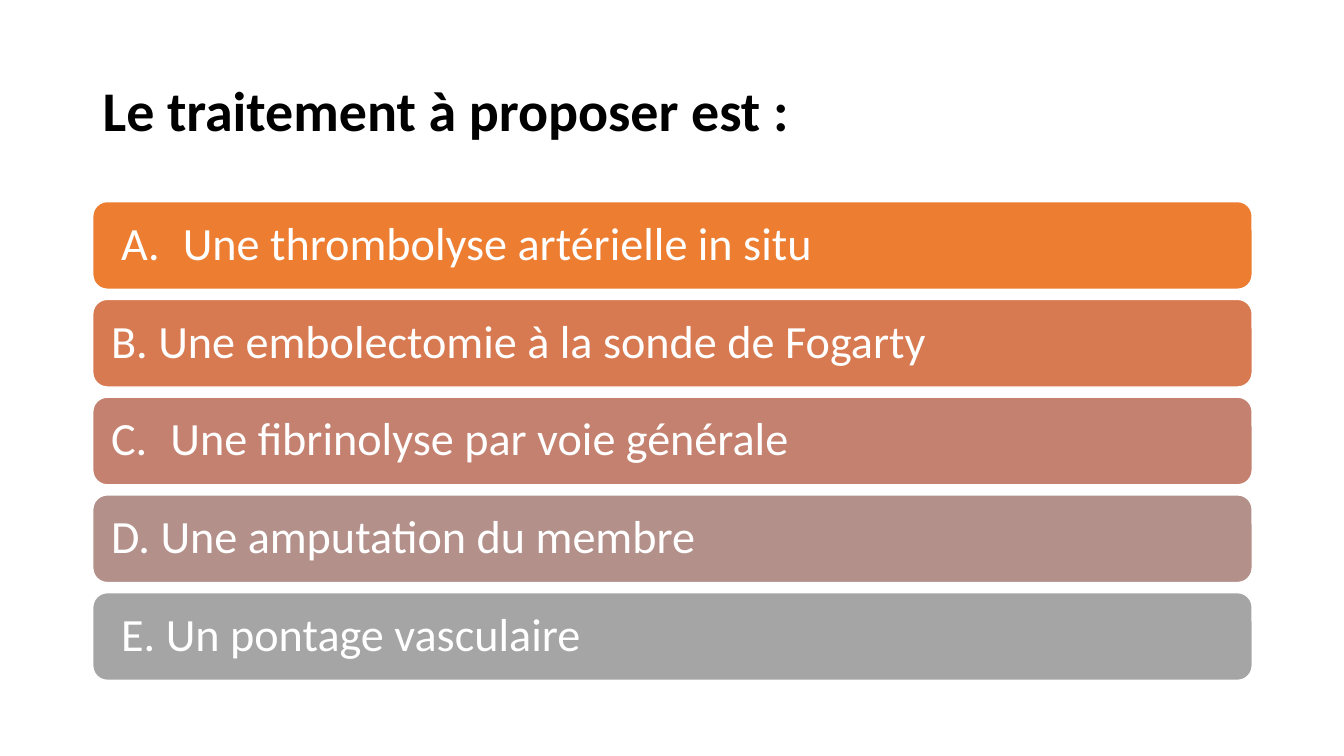
import pptx
import pptx.util
import pptx.dml.color
import pptx.enum.shapes
import pptx.enum.text

Inches, Pt = pptx.util.Inches, pptx.util.Pt
RGBColor = pptx.dml.color.RGBColor
MIDDLE = pptx.enum.text.MSO_ANCHOR.MIDDLE
LEFT = pptx.enum.text.PP_ALIGN.LEFT

BLACK = RGBColor(0x00, 0x00, 0x00)
WHITE = RGBColor(0xFF, 0xFF, 0xFF)
ORANGE = RGBColor(0xED, 0x7D, 0x31)
COPPER = RGBColor(0xD8, 0x7A, 0x51)
ROSE = RGBColor(0xC4, 0x81, 0x70)
MAUVE = RGBColor(0xB4, 0x90, 0x8B)
GREY = RGBColor(0xA5, 0xA5, 0xA5)

MARGIN, WIDTH = 0.92, 11.5
TOP, PITCH, BAR = 2, 0.97, 0.87
INSET, INDENT = 0.18, 0.1

ANSWERS = [
    ("A. Une thrombolyse artérielle in situ", ORANGE, INDENT),
    ("B. Une embolectomie à la sonde de Fogarty", COPPER, 0),
    ("C. Une fibrinolyse par voie générale", ROSE, 0),
    ("D. Une amputation du membre", MAUVE, 0),
    ("E. Un pontage vasculaire", GREY, INDENT),
]


def write(sp, text, size, color, bold=False):
    tf = sp.text_frame
    tf.word_wrap = True
    tf.vertical_anchor = MIDDLE
    p = tf.paragraphs[0]
    p.text = text
    p.alignment = LEFT
    p.line_spacing = 0.9
    p.font.name = "Calibri"
    p.font.size = Pt(size)
    p.font.bold = bold
    p.font.color.rgb = color
    return tf


prs = pptx.Presentation()
prs.slide_width, prs.slide_height = Inches(13.33), Inches(7.5)
s = prs.slides.add_slide(prs.slide_layouts[6])

sp = s.shapes.add_textbox(Inches(MARGIN), Inches(0.4), Inches(WIDTH), Inches(1.45))
write(sp, "Le traitement à proposer est :", 40, BLACK, True)

for i, (answer, color, indent) in enumerate(ANSWERS):
    sp = s.shapes.add_shape(
        pptx.enum.shapes.MSO_SHAPE.ROUNDED_RECTANGLE,
        Inches(MARGIN), Inches(TOP + i * PITCH), Inches(WIDTH), Inches(BAR))
    sp.shadow.inherit = False
    sp.fill.solid()
    sp.fill.fore_color.rgb = color
    sp.line.color.rgb = WHITE
    sp.line.width = Pt(1)
    label, rest = answer.split(" ", 1)
    gap = "\N{EN SPACE}" if label in ("A.", "C.") else " "
    tf = write(sp, label + gap + rest, 33, WHITE)
    tf.margin_left = Inches(INSET + indent - 0.04)
    tf.margin_right = Inches(INSET)

prs.save("out.pptx")
